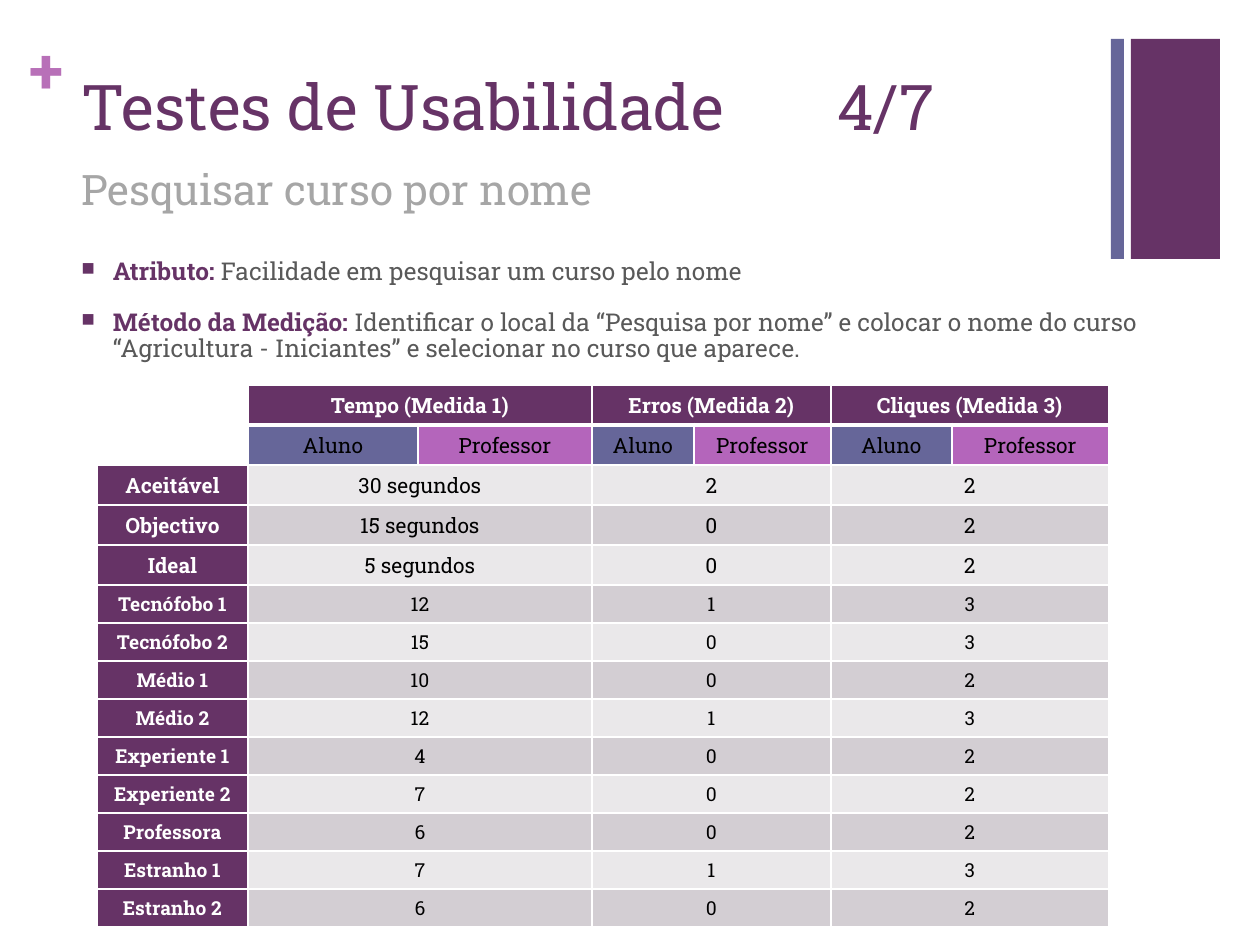
"""Builds the usability test slide with its table of measures per participant."""
from lxml import etree
from pptx import Presentation
from pptx import util as u
from pptx.dml.color import RGBColor
from pptx.enum import shapes, text
from pptx.oxml.ns import qn

PX = 914400 // 126
PLUM, SLATE, ORCHID, GREY = "663366", "666699", "B465BB", "595959"
BANDS = ["EAE8EA", "D3CED3"]


def rgb(value):
    return RGBColor.from_string(value)


def add_run(p, words, size, color, bold=False):
    r = p.add_run()
    r.text = words
    for key, value in {"name": "Roboto Slab", "size": u.Pt(size), "bold": bold}.items():
        setattr(r.font, key, value)
    r.font.color.rgb = rgb(color)


prs = Presentation()
prs.slide_width, prs.slide_height = 1260 * PX, 945 * PX
s = prs.slides.add_slide(prs.slide_layouts[6])

for x, w, color in [(1131, 89, PLUM), (1111, 13, SLATE)]:
    sp = s.shapes.add_shape(shapes.MSO_SHAPE.RECTANGLE, x * PX, 39 * PX, w * PX, 220 * PX)
    sp.shadow.inherit = False
    sp.fill.solid()
    sp.fill.fore_color.rgb = rgb(color)
    sp.line.fill.background()

labels = [
    (30, 31, 37, 77, 0, 1, "+", 36, "B870B8", True),
    (69, 67, 1041, 153, 1, 0.95, "Testes de Usabilidade \t\t4/7", 36, PLUM, False),
    (69, 157, 1041, 116, 1, 1, "Pesquisar curso por nome", 24, "A6A6A6", False),
]
for x, y, w, h, inset, spacing, words, size, color, bold in labels:
    tf = s.shapes.add_textbox(x * PX, y * PX, w * PX, h * PX).text_frame
    tf.word_wrap = True
    if not inset:
        for side in ["left", "top", "right", "bottom"]:
            setattr(tf, f"margin_{side}", 0)
    tf.paragraphs[0].line_spacing = spacing
    add_run(tf.paragraphs[0], words, size, color, bold)

points = [
    ("Atributo: ", "Facilidade em pesquisar um curso pelo nome"),
    ("Método da Medição: ", "Identificar o local da “Pesquisa por nome” e colocar o nome do curso "
     "“Agricultura - Iniciantes” e selecionar no curso que aparece."),
]
tf = s.shapes.add_textbox(69 * PX, 253 * PX, 1134 * PX, 380 * PX).text_frame
tf.word_wrap = True
for i, (lead, words) in enumerate(points):
    p = tf.add_paragraph() if i else tf.paragraphs[0]
    p.line_spacing = 0.9
    p.space_before = u.Pt(14 if i else 0)
    add_run(p, lead, 14, PLUM, True)
    add_run(p, words, 14, GREY)
    pPr = p._p.get_or_add_pPr()
    pPr.set("marL", str(u.Inches(0.25)))
    pPr.set("indent", str(u.Inches(-0.25)))
    clr = etree.SubElement(pPr, qn("a:buClr"))
    etree.SubElement(clr, qn("a:srgbClr"), val=PLUM)
    etree.SubElement(pPr, qn("a:buSzPct"), val="75000")
    etree.SubElement(pPr, qn("a:buChar"), char="■")

measures = ["Tempo (Medida 1)", "Erros (Medida 2)", "Cliques (Medida 3)"]
results = [
    ("Aceitável", "30 segundos", 2, 2),
    ("Objectivo", "15 segundos", 0, 2),
    ("Ideal", "5 segundos", 0, 2),
    ("Tecnófobo 1", 12, 1, 3),
    ("Tecnófobo 2", 15, 0, 3),
    ("Médio 1", 10, 0, 2),
    ("Médio 2", 12, 1, 3),
    ("Experiente 1", 4, 0, 2),
    ("Experiente 2", 7, 0, 2),
    ("Professora", 6, 0, 2),
    ("Estranho 1", 7, 1, 3),
    ("Estranho 2", 6, 0, 2),
]
rows = [("", *measures), ("", *["Aluno", "Professor"] * 3), *results]
widths = [151, 170, 174, 102, 137, 121, 157]
heights = [40] * 5 + [38] * 9
tbl = s.shapes.add_table(len(rows), len(widths), 97 * PX, 385 * PX,
                         sum(widths) * PX, sum(heights) * PX).table
for col, w in zip(tbl.columns, widths):
    col.width = w * PX
for row, h in zip(tbl.rows, heights):
    row.height = h * PX

for i, values in enumerate(rows):
    if i != 1:
        for j in (1, 3, 5):
            tbl.cell(i, j).merge(tbl.cell(i, j + 1))
        values = [values[0]] + [v for value in values[1:] for v in (value, "")]
    for j, value in enumerate(values):
        cell = tbl.cell(i, j)
        cell.vertical_anchor = text.MSO_ANCHOR.MIDDLE
        heading = i == 0 or j == 0
        if value == "":
            cell.margin_top = cell.margin_bottom = 0
        else:
            p = cell.text_frame.paragraphs[0]
            p.alignment = text.PP_ALIGN.CENTER
            add_run(p, str(value), 12 if i < 5 else 11, "FFFFFF" if heading else "000000", heading)
        if j == 0 and i < 2:
            cell.fill.background()
        else:
            cell.fill.solid()
            fill = PLUM if heading else [SLATE, ORCHID][(j - 1) % 2] if i == 1 else BANDS[i % 2]
            cell.fill.fore_color.rgb = rgb(fill)
        tcPr = cell._tc.get_or_add_tcPr()
        for k, side in enumerate("LRTB"):
            thick = (i == 0 and side == "B") or (i == 1 and side == "T")
            ln = etree.Element(qn(f"a:ln{side}"), w=str(u.Pt(3 if thick else 1)))
            solid = etree.SubElement(ln, qn("a:solidFill"))
            etree.SubElement(solid, qn("a:srgbClr"), val="FFFFFF")
            tcPr.insert(k, ln)

prs.save("out.pptx")
